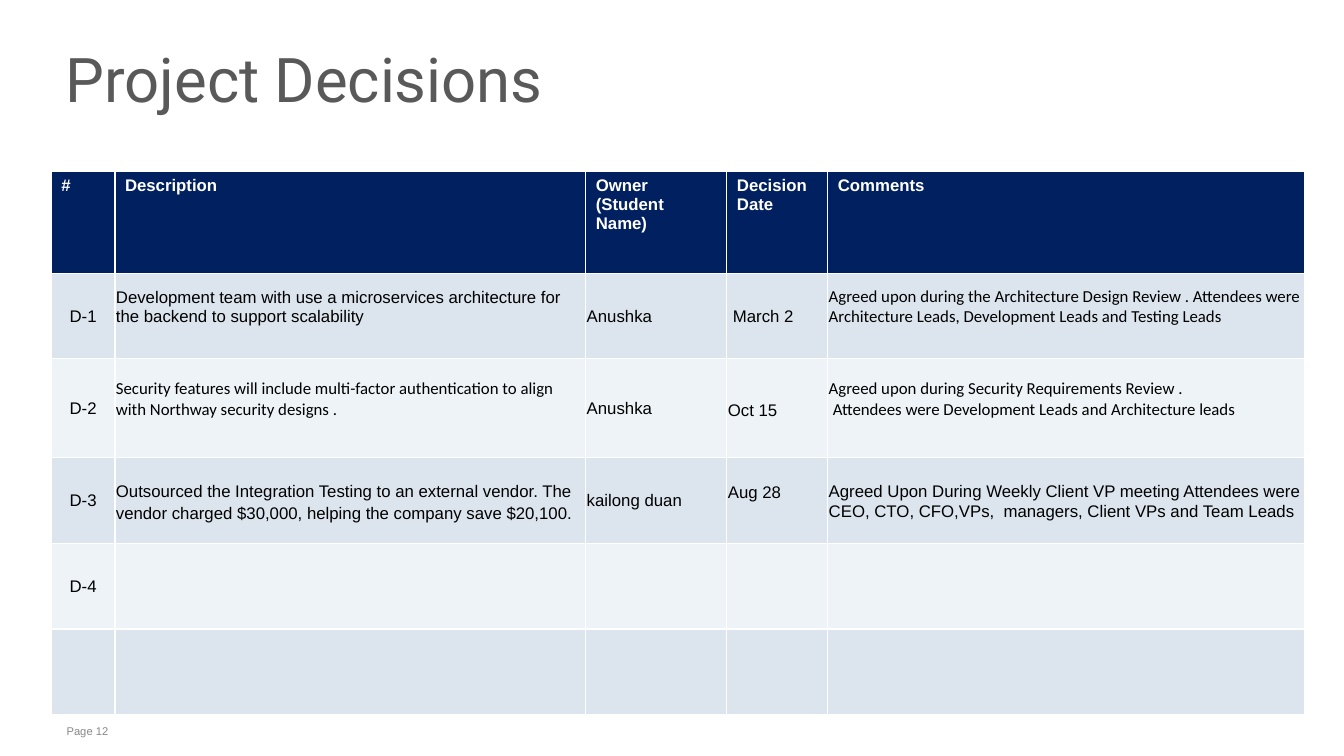
from dataclasses import dataclass

from pptx import Presentation
from pptx.dml.color import RGBColor
from pptx.enum.text import MSO_ANCHOR, PP_ALIGN
from pptx.util import Inches, Pt


@dataclass(frozen=True)
class Theme:
    """Colours, fonts and type sizes of the deck."""
    title_color: str = "595959"
    footer_color: str = "87888A"
    header_fill: str = "002060"
    header_color: str = "FFFFFF"
    body_color: str = "000000"
    bands: tuple = ("DCE5EE", "EEF3F7")
    title_font: str = "Roboto"
    body_font: str = "Arial"
    comment_font: str = "Calibri"
    title_size: int = 44
    body_size: int = 12
    footer_size: int = 8


THEME = Theme()
COLUMN_WIDTHS = (0.63, 4.67, 1.4, 1, 4.73)
ROW_HEIGHTS = (1.01, 0.85, 0.98, 0.85, 0.85, 0.85)
HEADERS = ("#", "Description", "Owner\n(Student Name)", "Decision Date", "Comments")
DECISIONS = (
    ("D-1",
     "Development team with use a microservices architecture for the backend to support scalability",
     "Anushka", "March 2",
     "Agreed upon during the Architecture Design Review . Attendees were Architecture Leads, "
     "Development Leads and Testing Leads"),
    ("D-2",
     "Security features will include multi-factor authentication to align with Northway security designs .",
     "Anushka", "Oct 15",
     "Agreed upon during Security Requirements Review .\n"
     "Attendees were Development Leads and Architecture leads"),
    ("D-3",
     "Outsourced the Integration Testing to an external vendor. The vendor charged $30,000, "
     "helping the company save $20,100.",
     "kailong duan", "Aug 28",
     "Agreed Upon During Weekly Client VP meeting Attendees were CEO, CTO, CFO,VPs,  managers, "
     "Client VPs and Team Leads"),
    ("D-4", "", "", "", ""),
    ("", "", "", "", ""),
)
HEADER_MARGINS = (0.1, 0.05, 0.1, 0.05)
BODY_MARGINS = (0.01, 0.01, 0.01, 0)
RAISED_MARGINS = (0.01, 0.01, 0.01, 0.19)
CALIBRI = {"name": THEME.comment_font}
CELL_FORMATS = {
    (1, 1): {"margins": RAISED_MARGINS},
    (1, 3): {"margins": (0.06, 0.01, 0.01, 0)},
    (1, 4): {"margins": RAISED_MARGINS, "font": CALIBRI},
    (2, 1): {"margins": RAISED_MARGINS, "font": CALIBRI},
    (2, 3): {"para": {"line_spacing": 1.15}},
    (2, 4): {"margins": RAISED_MARGINS, "font": CALIBRI, "indent": 0.04},
    (3, 1): {"para": {"line_spacing": 1.15}},
    (3, 3): {"margins": RAISED_MARGINS, "para": {"line_spacing": 1.15}},
    (3, 4): {"para": {"line_spacing": Pt(14.2)}},
}


def set_values(target, values):
    """Set each named attribute on the target."""
    for name, value in values.items():
        setattr(target, name, value)


def set_margins(target, margins):
    """Set left, top, right and bottom margins in inches."""
    sides = ("margin_left", "margin_top", "margin_right", "margin_bottom")
    set_values(target, dict(zip(sides, map(Inches, margins))))


def write_text(frame, text, font, color, para_values=None, indent=0):
    """Write one paragraph per line, indenting those after the first."""
    frame.text = text
    for number, para in enumerate(frame.paragraphs):
        if indent and number:
            para._p.get_or_add_pPr().set("marL", str(Inches(indent)))
        set_values(para, para_values or {})
        for target in (para.font, *(span.font for span in para.runs)):
            set_values(target, font)
            target.color.rgb = RGBColor.from_string(color)


def add_label(page, box, text, font, color, margins, anchor, para_values=None):
    """Place a line of text in the given box."""
    frame = page.shapes.add_textbox(*map(Inches, box)).text_frame
    set_values(frame, {"word_wrap": True, "vertical_anchor": anchor})
    set_margins(frame, margins)
    write_text(frame, text, font, color, para_values)


def fill_cell(cell, row, column, text):
    """Format one cell by its place in the table."""
    header = row == 0
    values = CELL_FORMATS.get((row, column), {})
    fill = THEME.header_fill if header else THEME.bands[(row - 1) % 2]
    cell.fill.solid()
    cell.fill.fore_color.rgb = RGBColor.from_string(fill)
    cell.vertical_anchor = MSO_ANCHOR.TOP if header else MSO_ANCHOR.MIDDLE
    set_margins(cell, values.get("margins", HEADER_MARGINS if header else BODY_MARGINS))
    font = {"name": THEME.body_font, "size": Pt(THEME.body_size), "bold": header}
    centred = column == 0 and not header
    para_values = {"alignment": PP_ALIGN.CENTER if centred else PP_ALIGN.LEFT}
    write_text(
        cell.text_frame, text, font | values.get("font", {}),
        THEME.header_color if header else THEME.body_color,
        para_values | values.get("para", {}), values.get("indent", 0),
    )


def add_decision_table(page, box):
    """Place the decision log in the given box."""
    rows = (HEADERS, *DECISIONS)
    table = page.shapes.add_table(len(rows), len(HEADERS), *map(Inches, box)).table
    table.horz_banding = False
    for column, width in zip(table.columns, COLUMN_WIDTHS):
        column.width = Inches(width)
    for row, height in zip(table.rows, ROW_HEIGHTS):
        row.height = Inches(height)
    for row, texts in enumerate(rows):
        for column, text in enumerate(texts):
            fill_cell(table.cell(row, column), row, column, text)


def add_decisions_page(deck):
    """Add the page with title, decision table and page number."""
    page = deck.slides.add_slide(deck.slide_layouts[6])
    add_label(
        page, (0.57, 0.26, 10.93, 1.19), "Project Decisions",
        {"name": THEME.title_font, "size": Pt(THEME.title_size)}, THEME.title_color,
        (0.08, 0, 0.08, 0), MSO_ANCHOR.MIDDLE, {"line_spacing": 0.75},
    )
    add_decision_table(page, (0.51, 1.7, sum(COLUMN_WIDTHS), sum(ROW_HEIGHTS)))
    add_label(
        page, (0.58, 7.14, 10.79, 0.24), "Page 12",
        {"name": THEME.body_font, "size": Pt(THEME.footer_size)}, THEME.footer_color,
        (0.08, 0.05, 0.08, 0.05), MSO_ANCHOR.TOP,
    )


def main():
    """Build and save the deck."""
    deck = Presentation()
    set_values(deck, {"slide_width": Inches(13.33), "slide_height": Inches(7.5)})
    add_decisions_page(deck)
    deck.save("out.pptx")


if __name__ == "__main__":
    main()
